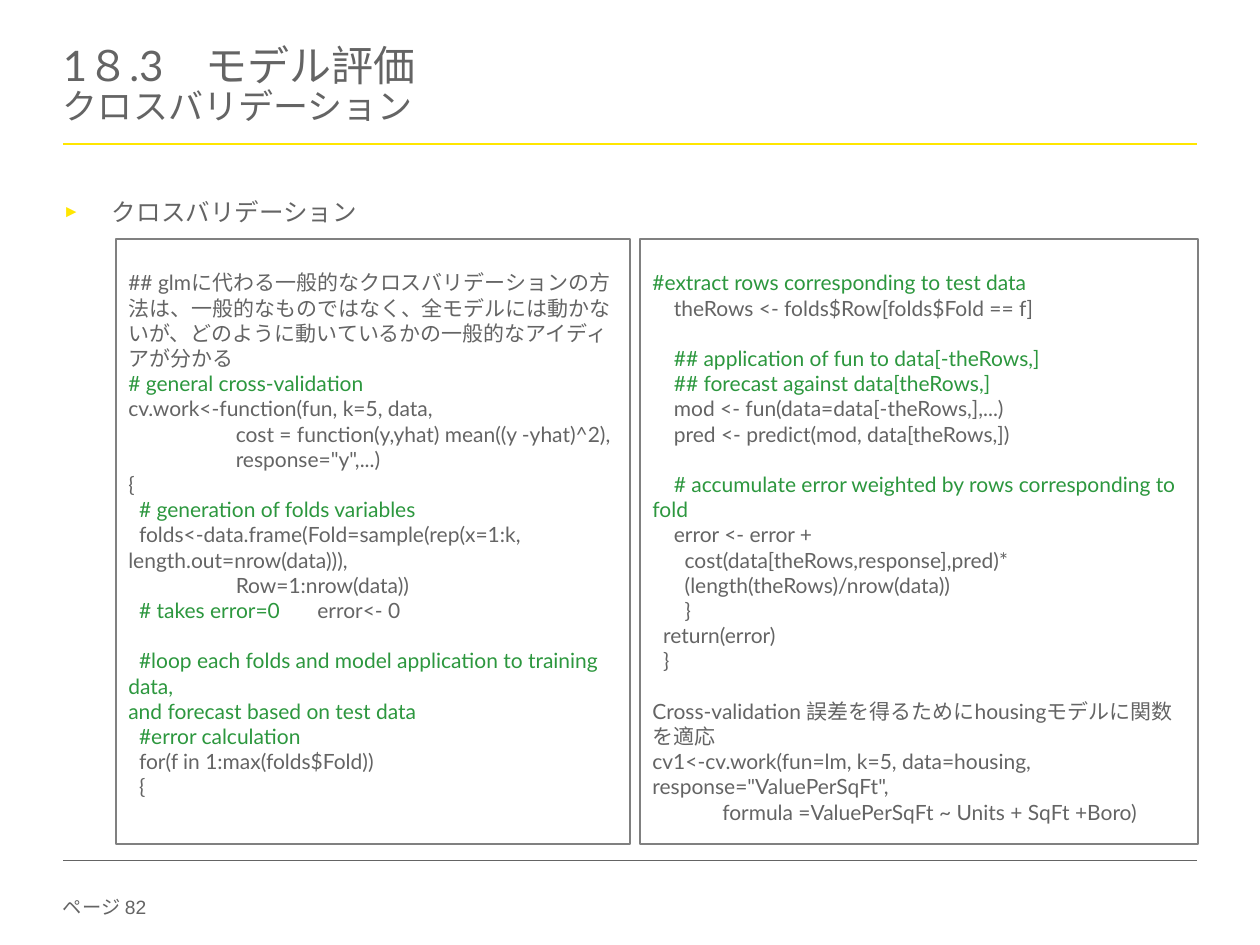
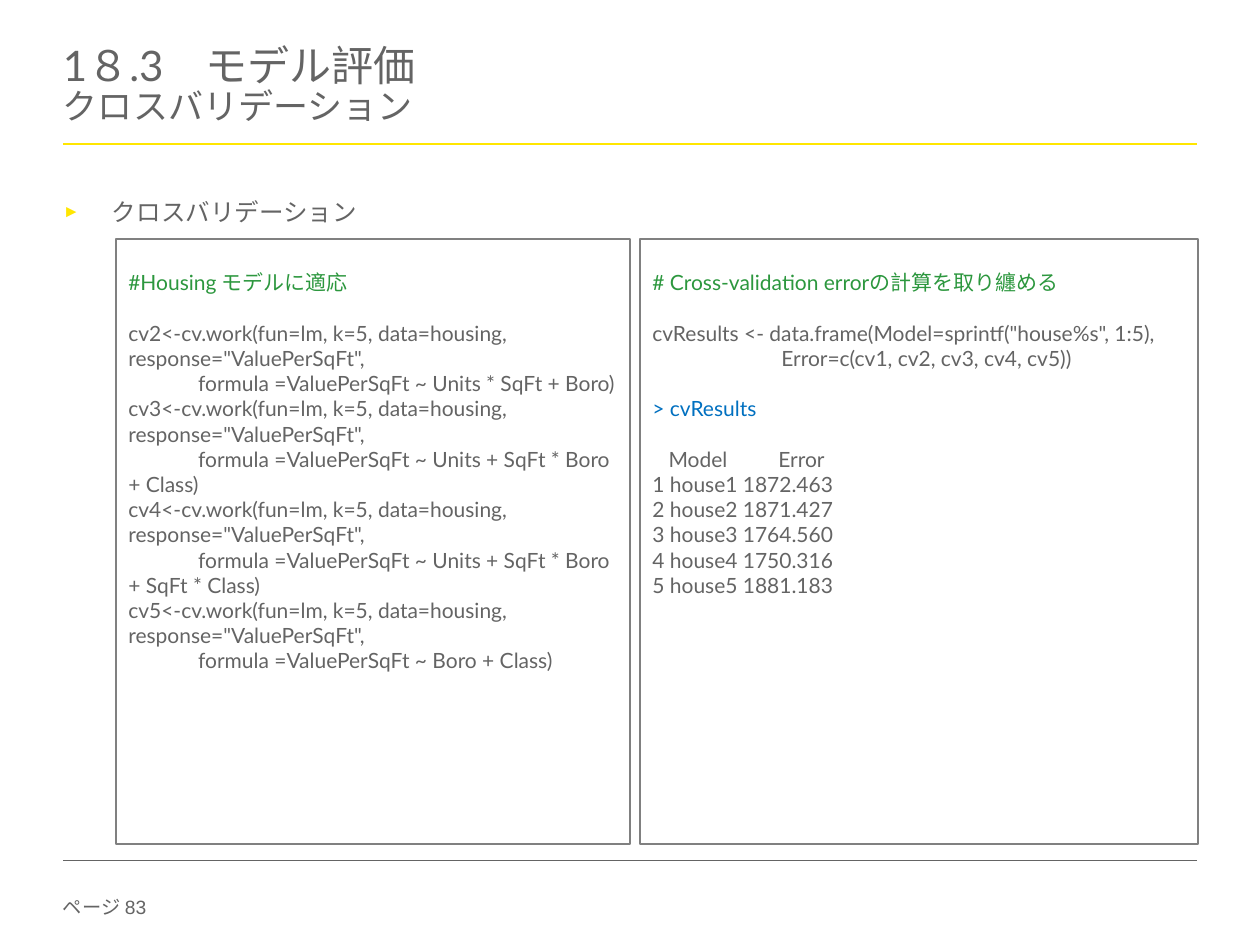
from dataclasses import dataclass

from lxml.etree import SubElement
from pptx import Presentation
from pptx.dml.color import RGBColor
from pptx.enum.shapes import MSO_CONNECTOR, MSO_SHAPE
from pptx.enum.text import MSO_ANCHOR, PP_ALIGN
from pptx.oxml.ns import qn
from pptx.util import Pt

# Code lines are (style, indent in spaces, text); BLANK leaves one line free.
# Text after a tab goes back to the code style.
CODE, NOTE, PROMPT = "code", "note", "prompt"
BLANK = None

TITLE = "1８.3　モデル評価"
SUBTITLE = "クロスバリデーション"
TOPIC = "クロスバリデーション"


def cv_call(name, formula):
    return [
        (CODE, 0, f'{name}<-cv.work(fun=lm, k=5, data=housing, response="ValuePerSqFt",'),
        (CODE, 13, f"formula =ValuePerSqFt ~ {formula}"),
    ]


CV_FUNCTION = [
    (CODE, 0, "## glmに代わる一般的なクロスバリデーションの方法は、一般的なものではなく、"
              "全モデルには動かないが、どのように動いているかの一般的なアイディアが分かる"),
    (NOTE, 0, "# general cross-validation"),
    (CODE, 0, "cv.work<-function(fun, k=5, data,"),
    (CODE, 20, "cost = function(y,yhat) mean((y -yhat)^2),"),
    (CODE, 20, 'response="y",...)'),
    (CODE, 0, "{"),
    (NOTE, 2, "# generation of folds variables"),
    (CODE, 2, "folds<-data.frame(Fold=sample(rep(x=1:k, length.out=nrow(data))),"),
    (CODE, 20, "Row=1:nrow(data))"),
    (NOTE, 2, "# takes error=0\terror<- 0"),
    BLANK,
    (NOTE, 2, "#loop each folds and model application to training data,"),
    (NOTE, 0, "and forecast based on test data"),
    (NOTE, 2, "#error calculation"),
    (CODE, 2, "for(f in 1:max(folds$Fold))"),
    (CODE, 2, "{"),
]

CV_LOOP = [
    (NOTE, 0, "#extract rows corresponding to test data"),
    (CODE, 4, "theRows <- folds$Row[folds$Fold == f]"),
    BLANK,
    (NOTE, 4, "## application of fun to data[-theRows,]"),
    (NOTE, 4, "## forecast against data[theRows,]"),
    (CODE, 4, "mod <- fun(data=data[-theRows,],...)"),
    (CODE, 4, "pred <- predict(mod, data[theRows,])"),
    BLANK,
    (NOTE, 4, "# accumulate error weighted by rows corresponding to fold"),
    (CODE, 4, "error <- error +"),
    (CODE, 6, "cost(data[theRows,response],pred)*"),
    (CODE, 6, "(length(theRows)/nrow(data))"),
    (CODE, 6, "}"),
    (CODE, 2, "return(error)"),
    (CODE, 2, "}"),
    BLANK,
    (CODE, 0, "Cross-validation 誤差を得るためにhousingモデルに関数を適応"),
    *cv_call("cv1", "Units + SqFt +Boro)"),
]

HOUSING_MODELS = [
    (NOTE, 0, "#Housing モデルに適応"),
    BLANK,
    *cv_call("cv2", "Units * SqFt + Boro)"),
    *cv_call("cv3", "Units + SqFt * Boro + Class)"),
    *cv_call("cv4", "Units + SqFt * Boro + SqFt * Class)"),
    *cv_call("cv5", "Boro + Class)"),
]

ERRORS = ["1872.463", "1871.427", "1764.560", "1750.316", "1881.183"]
CV_RESULTS = [
    (NOTE, 0, "# Cross-validation errorの計算を取り纏める"),
    BLANK,
    (CODE, 0, 'cvResults <- data.frame(Model=sprintf("house%s", 1:5),'),
    (CODE, 24, "Error=c(cv1, cv2, cv3, cv4, cv5))"),
    BLANK,
    (PROMPT, 0, "> cvResults"),
    BLANK,
    (CODE, 3, "Model\tError"),
    *[(CODE, 0, f"{i} house{i} {error}") for i, error in enumerate(ERRORS, 1)],
]

SLIDES = [
    {"page": 82, "panels": [CV_FUNCTION, CV_LOOP]},
    {"page": 83, "panels": [HOUSING_MODELS, CV_RESULTS]},
]


@dataclass(frozen=True)
class Theme:
    ink: str = "646464"
    note: str = "2C973E"
    prompt: str = "0070C0"
    accent: str = "FFE600"
    border: str = "808080"
    font: str = "Lato"
    footer_font: str = "Arial"
    title: int = 24
    subtitle: int = 20
    topic: int = 14
    code: int = 12
    footer: int = 11


THEME = Theme()
STYLE_COLOR = {CODE: THEME.ink, NOTE: THEME.note, PROMPT: THEME.prompt}

PX_PER_INCH = 126
SLIDE_W, SLIDE_H = 1260, 945
LEFT, RIGHT = 63, 1197
WIDTH = RIGHT - LEFT
PANEL_TOP, PANEL_H = 239, 605
PANEL_SPANS = [(116, 514), (640, 558)]
PANEL_INSET_TOP = 31
BULLET_INDENT = 49
SPACE_PT = 3.07
LINE_PT = 14.4
TAB_STOPS = {"# takes error=0": 173, "Model": 96}
RULES = [(144, THEME.accent, 1.5), (860, THEME.ink, 0.25)]


def px(n):
    return round(n * 914400 / PX_PER_INCH)


def box(*sides):
    return [px(side) for side in sides]


def set_all(target, values):
    for name, value in values.items():
        setattr(target, name, value)


def add_run(p, text, size, color=THEME.ink, font=THEME.font):
    r = p.add_run()
    r.text = text
    set_all(r.font, {"size": Pt(size), "name": font})
    r.font.color.rgb = RGBColor.from_string(color)


def add_text_frame(slide, bounds, **values):
    tf = slide.shapes.add_textbox(*box(*bounds)).text_frame
    margins = dict.fromkeys(
        ("margin_left", "margin_top", "margin_right", "margin_bottom"), 0)
    set_all(tf, {"word_wrap": True, **margins, **values})
    return tf


def add_rule(slide, y, color, width):
    line = slide.shapes.add_connector(MSO_CONNECTOR.STRAIGHT, *box(LEFT, y, RIGHT, y))
    line.line.color.rgb = RGBColor.from_string(color)
    line.line.width = Pt(width)
    SubElement(line._element.spPr, qn("a:effectLst"))


def add_title(slide):
    tf = add_text_frame(slide, (LEFT, 28, WIDTH, 118),
                        vertical_anchor=MSO_ANCHOR.MIDDLE)
    p = tf.paragraphs[0]
    p.line_spacing = 0.85
    add_run(p, TITLE, THEME.title)
    p.add_line_break()
    add_run(p, SUBTITLE, THEME.subtitle)


def add_topic(slide):
    p = add_text_frame(slide, (LEFT, 197, WIDTH, 40)).paragraphs[0]
    set_all(p, {"alignment": PP_ALIGN.JUSTIFY, "space_before": Pt(6)})
    pPr = p._p.get_or_add_pPr()
    pPr.set("marL", str(px(BULLET_INDENT)))
    pPr.set("indent", str(-px(BULLET_INDENT)))
    SubElement(SubElement(pPr, qn("a:buClr")), qn("a:srgbClr"), val=THEME.accent)
    SubElement(pPr, qn("a:buSzPct"), val="70000")
    SubElement(pPr, qn("a:buFont"), typeface="Arial")
    SubElement(pPr, qn("a:buChar"), char="►")
    add_run(p, TOPIC, THEME.topic)


def add_code_line(p, style, indent, text):
    pPr = p._p.get_or_add_pPr()
    pPr.set("indent", str(Pt(indent * SPACE_PT)))
    head, tab, tail = text.partition("\t")
    add_run(p, head + tab, THEME.code, STYLE_COLOR[style])
    if tab:
        stops = SubElement(pPr, qn("a:tabLst"))
        SubElement(stops, qn("a:tab"), pos=str(px(TAB_STOPS[head])), algn="l")
        add_run(p, tail, THEME.code)


def add_panel(slide, left, width, lines):
    sp = slide.shapes.add_shape(MSO_SHAPE.RECTANGLE,
                                *box(left, PANEL_TOP, width, PANEL_H))
    sp.shadow.inherit = False
    sp.fill.background()
    sp.line.color.rgb = RGBColor.from_string(THEME.border)
    sp.line.width = Pt(0.75)
    tf = sp.text_frame
    set_all(tf, {"word_wrap": True, "vertical_anchor": MSO_ANCHOR.TOP,
                 "margin_top": px(PANEL_INSET_TOP)})
    p, gap = tf.paragraphs[0], 0
    for i, line in enumerate(lines):
        if line is BLANK:
            gap = LINE_PT
            continue
        if i:
            p = tf.add_paragraph()
        set_all(p, {"alignment": PP_ALIGN.LEFT, "space_before": Pt(gap)})
        add_code_line(p, *line)
        gap = 0


def add_footer(slide, page):
    tf = add_text_frame(slide, (LEFT, 895, 100, 28), word_wrap=False)
    add_run(tf.paragraphs[0], f"ページ {page}", THEME.footer, font=THEME.footer_font)


def build_slide(prs, page, panels):
    slide = prs.slides.add_slide(prs.slide_layouts[6])
    add_footer(slide, page)
    for rule in RULES:
        add_rule(slide, *rule)
    add_title(slide)
    add_topic(slide)
    for (left, width), lines in zip(PANEL_SPANS, panels):
        add_panel(slide, left, width, lines)


def main():
    prs = Presentation()
    set_all(prs, {"slide_width": px(SLIDE_W), "slide_height": px(SLIDE_H)})
    for content in SLIDES:
        build_slide(prs, **content)
    prs.save("out.pptx")


if __name__ == "__main__":
    main()
